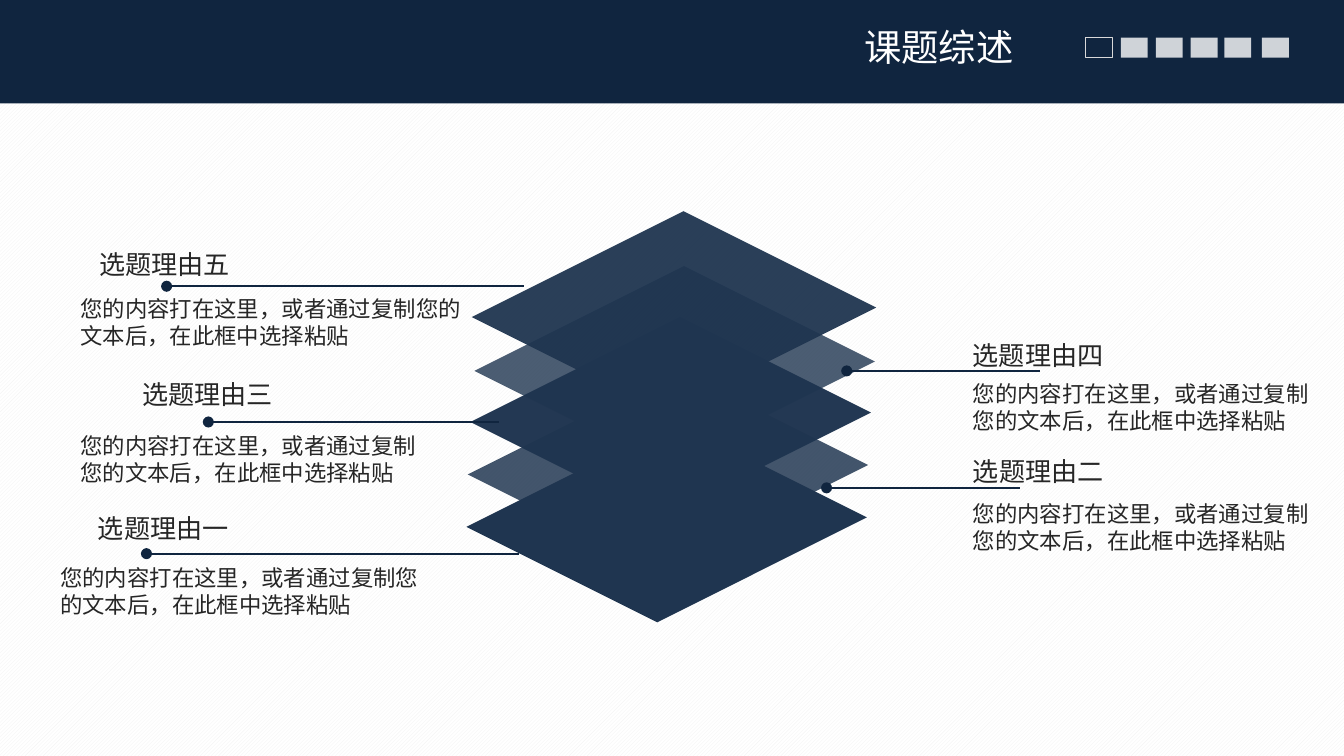
from lxml import etree
from pptx import Presentation
from pptx.dml.color import RGBColor
from pptx.enum.dml import MSO_PATTERN
from pptx.enum.shapes import MSO_CONNECTOR, MSO_SHAPE
from pptx.enum.text import PP_ALIGN
from pptx.oxml.ns import qn
from pptx.util import Inches, Pt

NAVY = RGBColor(0x10, 0x25, 0x3F)
LAYER_BLUE = RGBColor(0x1F, 0x35, 0x50)
INK = RGBColor(0x26, 0x26, 0x26)
WHITE = RGBColor(0xFF, 0xFF, 0xFF)
PALE = RGBColor(0xF2, 0xF2, 0xF2)
GREY = RGBColor(0xD9, 0xD9, 0xD9)
RECTANGLE = MSO_SHAPE.RECTANGLE
STRAIGHT = MSO_CONNECTOR.STRAIGHT
DIAGONAL = MSO_PATTERN.LIGHT_UPWARD_DIAGONAL
LEFT = PP_ALIGN.LEFT
RIGHT = PP_ALIGN.RIGHT
FONT = "Noto Sans CJK SC"


class SlideBuilder:
    def __init__(self, slide):
        self.slide = slide

    def background(self):
        fill = self.slide.background.fill
        fill.patterned()
        fill.pattern = DIAGONAL
        fill.fore_color.rgb = PALE
        fill.back_color.rgb = WHITE

    def paint(self, shape, color, opacity):
        shape.shadow.inherit = False
        shape.line.fill.background()
        if color is None:
            shape.fill.background()
            return
        shape.fill.solid()
        shape.fill.fore_color.rgb = color
        if opacity < 100:
            color_node = shape.fill._xPr.find(qn("a:solidFill"))[0]
            etree.SubElement(color_node, qn("a:alpha"), val=str(opacity * 1000))

    def box(self, left, top, width, height, color=None, opacity=100):
        shape = self.slide.shapes.add_shape(
            RECTANGLE, Inches(left), Inches(top), Inches(width), Inches(height))
        self.paint(shape, color, opacity)
        return shape

    def diamond(self, left, middle, scale, opacity):
        corners = [(0, 0), (1.56, -0.78), (2.98, -0.07), (1.42, 0.71)]
        points = [(Inches(left + x * scale), Inches(middle + y * scale))
                  for x, y in corners]
        builder = self.slide.shapes.build_freeform(*points[0])
        builder.add_line_segments(points[1:], close=True)
        self.paint(builder.convert_to_shape(), LAYER_BLUE, opacity)

    def text(self, text, left, top, width, height, size, color=INK, align=LEFT):
        shape = self.slide.shapes.add_textbox(
            Inches(left), Inches(top), Inches(width), Inches(height))
        frame = shape.text_frame
        frame.word_wrap = True
        frame.text = text
        paragraph = frame.paragraphs[0]
        paragraph.alignment = align
        font = paragraph.runs[0].font
        font.name = FONT
        font.size = Pt(size)
        font.color.rgb = color
        etree.SubElement(font._element, qn("a:ea"), typeface=FONT)

    def leader(self, start, end, y):
        line = self.slide.shapes.add_connector(
            STRAIGHT, Inches(start), Inches(y), Inches(end), Inches(y))
        line.line.color.rgb = NAVY
        line.line.width = Pt(1.25)
        etree.SubElement(line.line._get_or_add_ln(), qn("a:headEnd"), type="oval")
        etree.SubElement(line._element.spPr, qn("a:effectLst"))


presentation = Presentation()
presentation.slide_width = Inches(10)
presentation.slide_height = Inches(10 * 9 / 16)
builder = SlideBuilder(presentation.slides.add_slide(presentation.slide_layouts[6]))
builder.background()

builder.box(0, 0, 10, 0.77, NAVY)
current_marker = builder.box(8.08, 0.28, 0.2, 0.15)
current_marker.line.color.rgb = GREY
current_marker.line.width = Pt(0.5)
for marker_left in (8.34, 8.6, 8.86, 9.11, 9.39):
    builder.box(marker_left, 0.28, 0.2, 0.15, WHITE, 80)
builder.text("课题综述", 3.55, 0.13, 4.09, 0.5, 20, WHITE, RIGHT)

LAYERS = [
    (3.47, 3.92, 1, 100),
    (3.48, 3.53, 1, 84),
    (3.5, 3.14, 1, 98),
    (3.53, 2.76, 1, 80),
    (3.51, 2.36, 1.01, 95),
]
for layer in LAYERS:
    builder.diamond(*layer)

BODY = "您的内容打在这里，或者通过复制您的文本后，在此框中选择粘贴"
REASONS = [
    ("五", (0.64, 1.8, 1.83), (0.5, 2.15, 3.14), (1.24, 3.9, 2.13)),
    ("四", (7.14, 2.48, 2.03), (7.14, 2.78, 2.73), (6.3, 7.74, 2.76)),
    ("二", (7.14, 3.34, 1.88), (7.14, 3.67, 2.73), (6.15, 7.59, 3.63)),
    ("三", (0.96, 2.77, 1.67), (0.5, 3.17, 2.71), (1.55, 3.71, 3.14)),
    ("一", (0.63, 3.76, 1.84), (0.35, 4.15, 2.87), (1.09, 3.86, 4.12)),
]
for number, heading_place, body_place, leader_place in REASONS:
    builder.leader(*leader_place)
    builder.text(BODY, *body_place, 0.5, 12)
    builder.text("选题理由" + number, *heading_place, 0.34, 14)

presentation.save("out.pptx")
